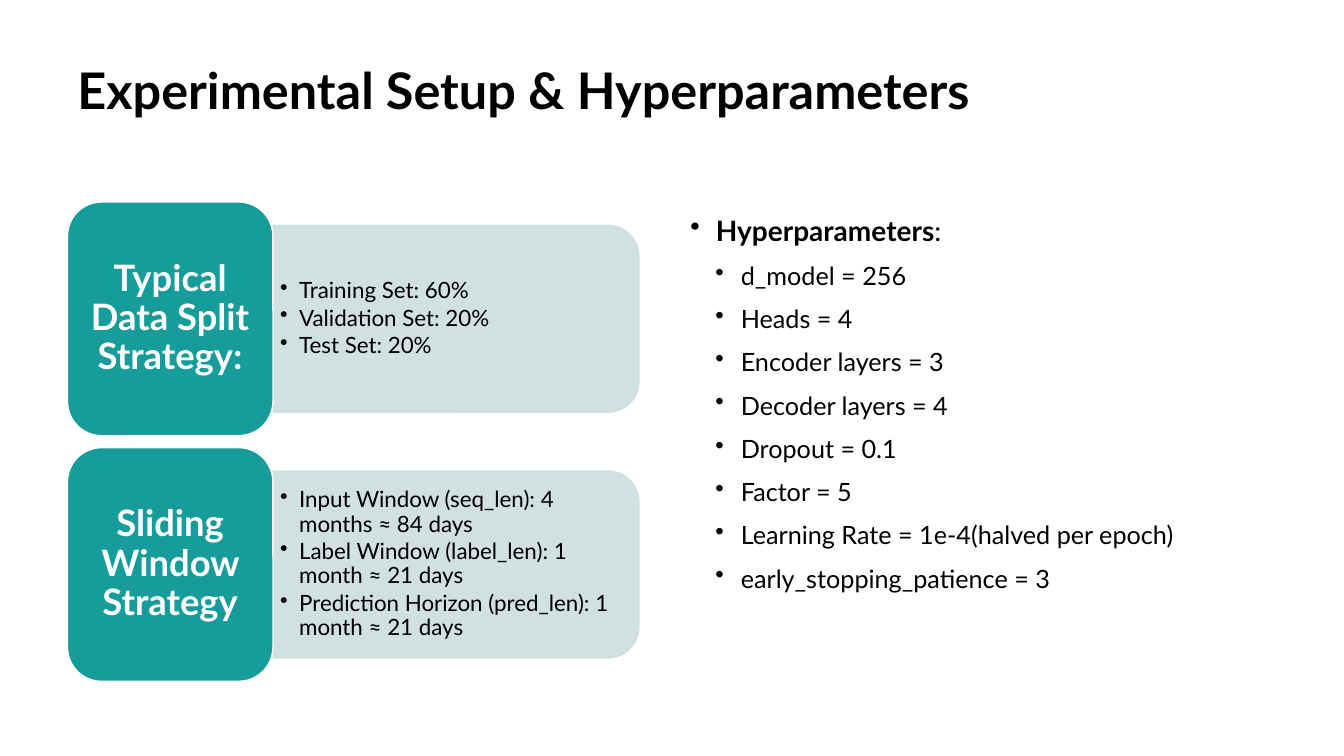
import pptx
import pptx.util
import pptx.dml.color
import pptx.enum.shapes
import pptx.enum.text
import pptx.oxml
import pptx.oxml.ns

Cm, Pt = pptx.util.Cm, pptx.util.Pt
SHAPE = pptx.enum.shapes.MSO_SHAPE
ANCHOR = pptx.enum.text.MSO_ANCHOR
ALIGN = pptx.enum.text.PP_ALIGN

COLORS = {"teal": "169C9A", "mist": "CCDEDE", "white": "FFFFFF", "black": "000000"}
FONT = "Lato"

CARDS = [
    ("Typical Data Split Strategy:",
     ["Training Set: 60%", "Validation Set: 20%", "Test Set: 20%"]),
    ("Sliding Window Strategy",
     ["Input Window (seq_len): 4 months ≈ 84 days",
      "Label Window (label_len): 1 month ≈ 21 days",
      "Prediction Horizon (pred_len): 1 month ≈ 21 days"]),
]
PARAMS = [
    "d_model = 256", "Heads = 4", "Encoder layers = 3", "Decoder layers = 4",
    "Dropout = 0.1", "Factor = 5", "Learning Rate = 1e-4(halved per epoch)",
    "early_stopping_patience = 3",
]


def color(name):
    return pptx.dml.color.RGBColor.from_string(COLORS[name])


def style(para, size, tint="black", bold=False):
    for run in para.runs:
        font = run.font
        font.name, font.size, font.bold = FONT, Pt(size), bold
        font.color.rgb = color(tint)


def bullet(para, left, hang):
    """Give the paragraph a round bullet; left and hang are in cm."""
    props = para._p.get_or_add_pPr()
    props.set("marL", str(Cm(left)))
    props.set("indent", str(-Cm(hang)))
    mark = pptx.oxml.parse_xml(
        f'<a:buChar {pptx.oxml.ns.nsdecls("a")} char="•"/>')
    props.append(mark)


def fade(shape, share):
    """Set the opacity of the shape's fill and line, in percent."""
    for tone in shape._element.spPr.iter(pptx.oxml.ns.qn("a:srgbClr")):
        alpha = f'<a:alpha {pptx.oxml.ns.nsdecls("a")} val="{share * 1000}"/>'
        tone.append(pptx.oxml.parse_xml(alpha))


def add_block(slide, kind, box, fill, line):
    shape = slide.shapes.add_shape(kind, *map(Cm, box))
    shape.shadow.inherit = False
    shape.fill.solid()
    shape.fill.fore_color.rgb = color(fill)
    shape.line.color.rgb = color(line)
    shape.line.width = Pt(1)
    return shape


def set_frame(frame, side, edge, anchor):
    """Wrap the text, with side and edge insets in cm."""
    frame.word_wrap = True
    frame.margin_left = frame.margin_right = Cm(side)
    frame.margin_top = frame.margin_bottom = Cm(edge)
    frame.vertical_anchor = anchor


def add_title(slide, text, box):
    title = slide.shapes.title
    title.left, title.top, title.width, title.height = map(Cm, box)
    frame = title.text_frame
    frame.text = text
    set_frame(frame, 0.25, 0.13, ANCHOR.TOP)
    para = frame.paragraphs[0]
    para.alignment, para.line_spacing = ALIGN.LEFT, 0.9
    style(para, 36, bold=True)


def add_card(slide, box, head, items):
    """Place a heading tile with a panel of bullets at its right."""
    left, top, width, height = box
    tile = 5.18
    long, short = width - tile, height * 0.8
    mid = top + height / 2

    # The panel is turned a quarter, so its width is its height on the slide.
    panel = add_block(
        slide, SHAPE.ROUND_2_SAME_RECTANGLE,
        (left + tile + (long - short) / 2, mid - long / 2, short, long),
        "mist", "mist")
    panel.rotation = 90
    fade(panel, 90)

    inner = short - 0.46
    notes = slide.shapes.add_textbox(
        *map(Cm, (left + tile, mid - inner / 2, long - 0.23, inner)))
    frame = notes.text_frame
    frame.text = "\n".join(items)
    set_frame(frame, 0.18, 0.08, ANCHOR.MIDDLE)
    for para in frame.paragraphs:
        para.level, para.line_spacing, para.space_after = 1, 0.9, Pt(2.4)
        bullet(para, 0.48, 0.48)
        style(para, 16)

    block = add_block(slide, SHAPE.ROUNDED_RECTANGLE,
                      (left, top, tile, height), "teal", "white")
    frame = block.text_frame
    frame.text = head
    set_frame(frame, 0.28, 0.13, ANCHOR.MIDDLE)
    para = frame.paragraphs[0]
    para.alignment, para.line_spacing = ALIGN.CENTER, 0.9
    style(para, 26, "white", True)


def add_cards(slide, box):
    left, top, width, height = box
    gap = 0.3
    tall = (height - gap * (len(CARDS) - 1)) / len(CARDS)
    for row, (head, items) in enumerate(CARDS):
        add_card(slide, (left, top + row * (tall + gap), width, tall), head, items)


def add_params(slide, box):
    frame = slide.shapes.add_textbox(*map(Cm, box)).text_frame
    frame.text = "\n".join(["Hyperparameters"] + PARAMS)
    set_frame(frame, 0.25, 0.13, ANCHOR.TOP)
    head, *rest = frame.paragraphs
    head.add_run().text = ":"
    head.line_spacing, head.space_before = 1.2, Pt(10)
    bullet(head, 0.64, 0.64)
    style(head, 20, bold=True)
    head.runs[1].font.bold = False
    for para in rest:
        para.level, para.line_spacing, para.space_before = 1, 1.2, Pt(5)
        bullet(para, 1.27, 0.64)
        style(para, 18)


def main():
    deck = pptx.Presentation()
    deck.slide_width, deck.slide_height = Cm(33.87), Cm(19.05)
    slide = deck.slides.add_slide(deck.slide_layouts[5])
    add_title(slide, "Experimental Setup & Hyperparameters", (1.7, 1.52, 29.85, 3.15))
    add_cards(slide, (1.7, 5.09, 14.4, 12.08))
    add_params(slide, (17.15, 5.08, 14.4, 12.09))
    deck.save("out.pptx")


if __name__ == "__main__":
    main()
